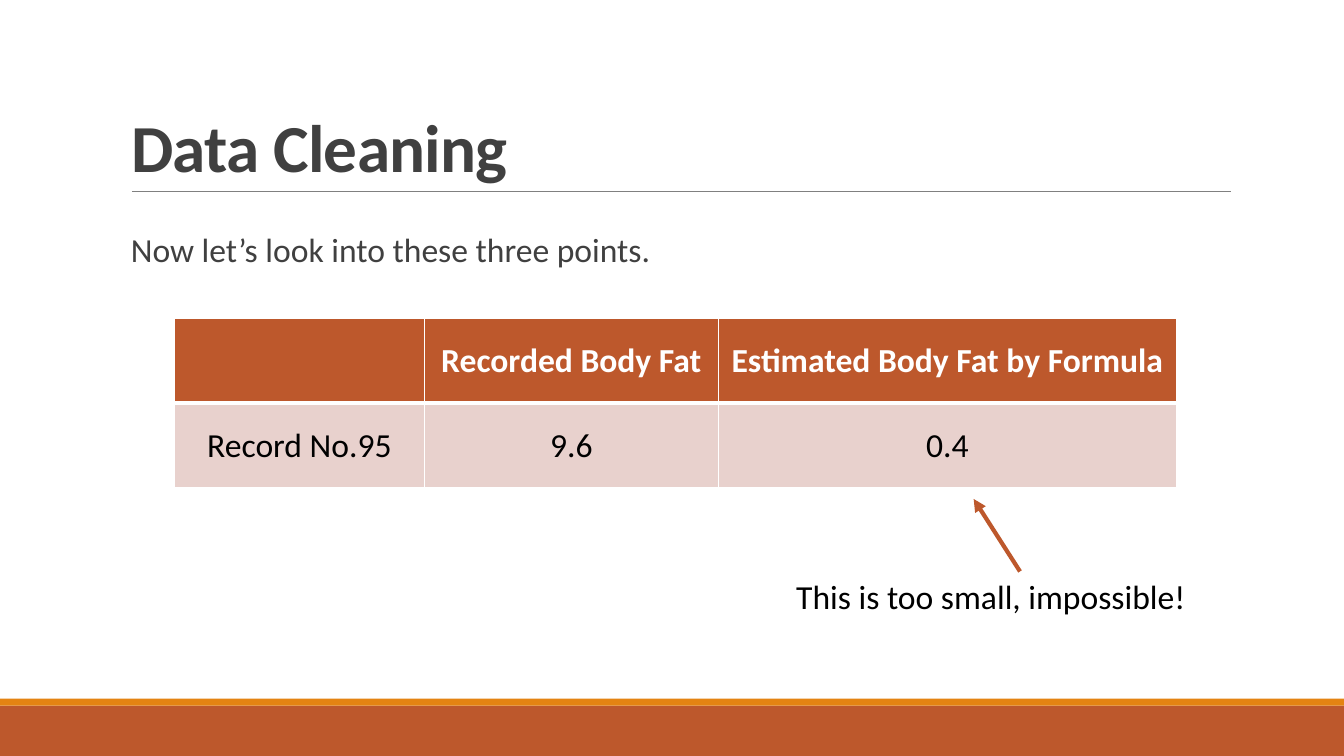
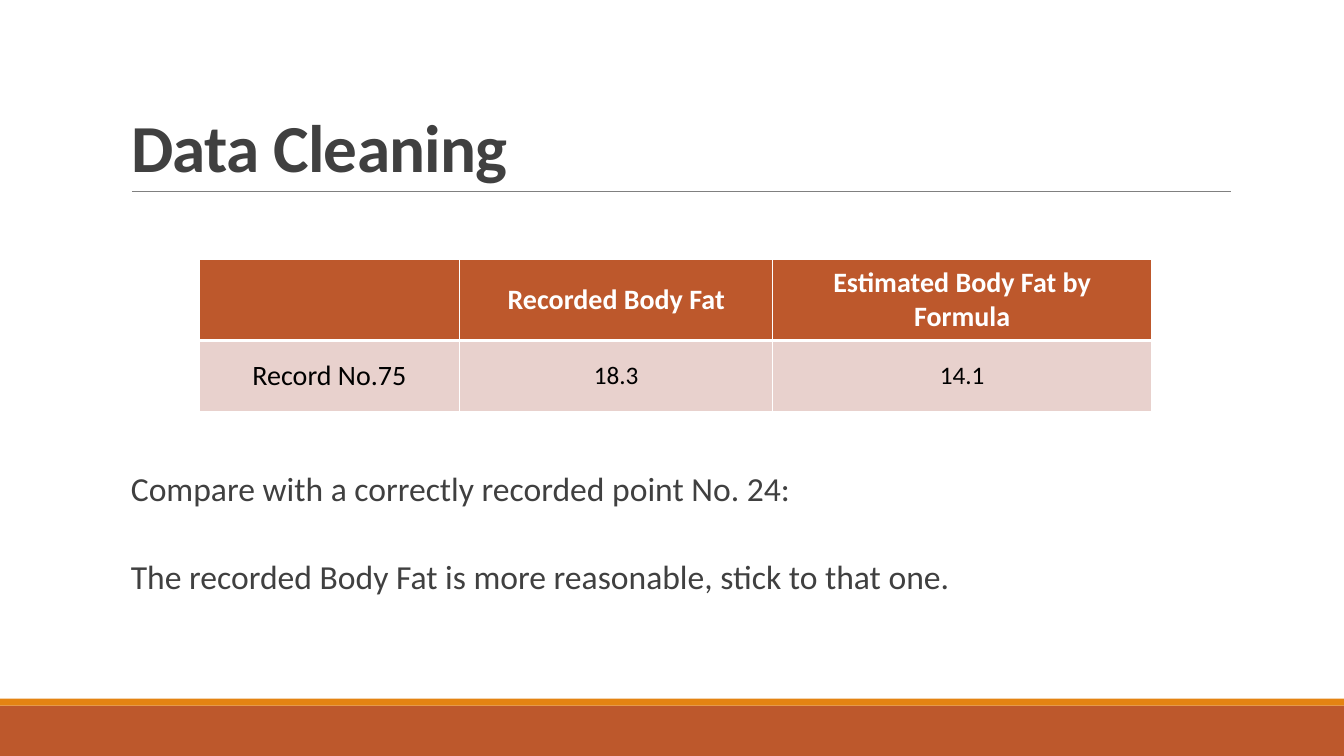
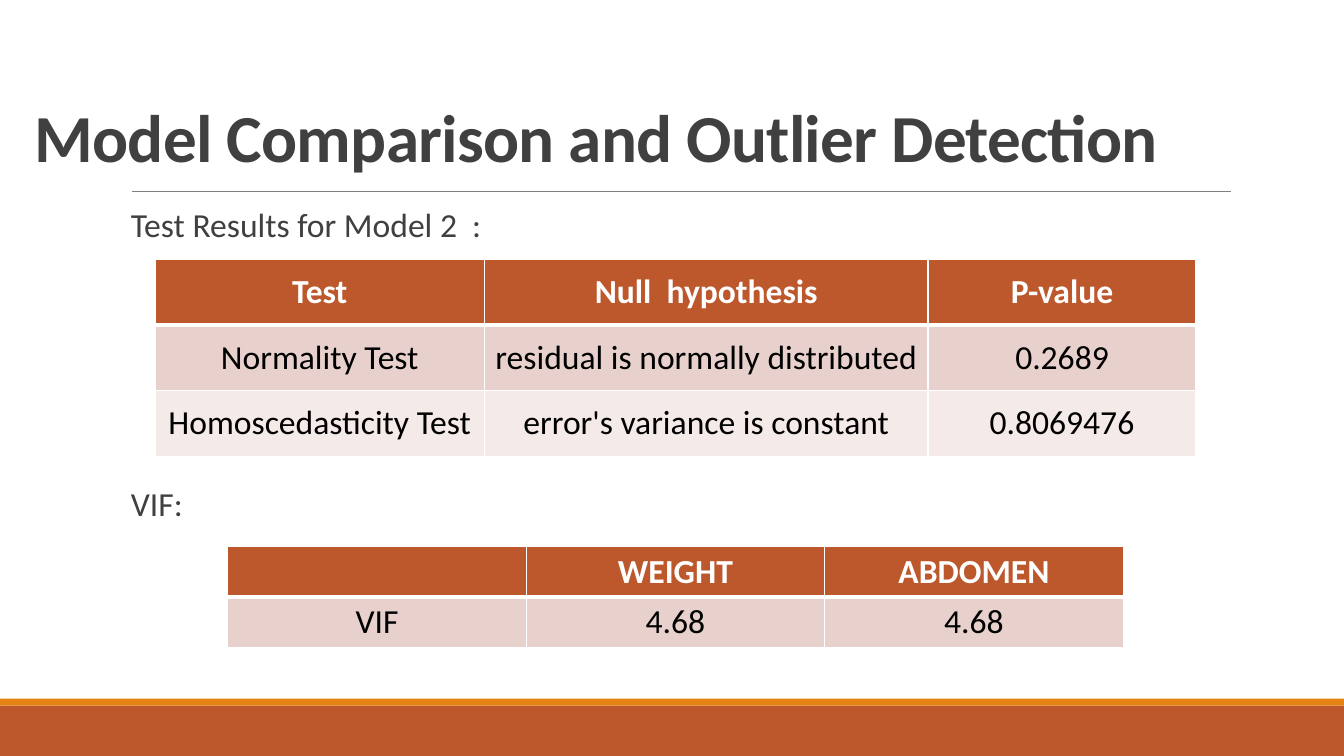
from lxml import etree
from pptx import Presentation
from pptx.dml.color import RGBColor
from pptx.enum.shapes import MSO_CONNECTOR, MSO_SHAPE
from pptx.enum.text import MSO_ANCHOR, MSO_AUTO_SIZE, PP_ALIGN
from pptx.oxml.ns import qn
from pptx.util import Pt

RECTANGLE = MSO_SHAPE.RECTANGLE
STRAIGHT = MSO_CONNECTOR.STRAIGHT
LEFT, CENTER = PP_ALIGN.LEFT, PP_ALIGN.CENTER
MIDDLE, BOTTOM = MSO_ANCHOR.MIDDLE, MSO_ANCHOR.BOTTOM
NO_AUTOFIT, GROW = MSO_AUTO_SIZE.NONE, MSO_AUTO_SIZE.SHAPE_TO_FIT_TEXT

RUST = RGBColor(0xBD, 0x58, 0x2C)
ORANGE = RGBColor(0xE4, 0x83, 0x12)
GRAY = RGBColor(0x80, 0x80, 0x80)
CHARCOAL = RGBColor(0x40, 0x40, 0x40)
BLACK = RGBColor(0, 0, 0)
WHITE = RGBColor(0xFF, 0xFF, 0xFF)
ROW_FILLS = (RGBColor(0xE8, 0xD1, 0xCD), RGBColor(0xF4, 0xEA, 0xE8))

FONT = "Calibri"
SLIDE_WIDTH, SLIDE_HEIGHT = 960, 540
TITLE_BOX = (86.4, 22.3, 792, 114.5)
WIDE_TITLE_BOX = (17.3, 32.4, 929.5, 97.2)
BODY_LEFT, BODY_WIDTH = 86.4, 792
TITLE_ONLY_LAYOUT = 5


def points(*lengths):
    """Convert plain numbers to point lengths."""
    return [Pt(length) for length in lengths]


def style_paragraph(paragraph, size, color, bold=False, alignment=LEFT):
    """Give a paragraph its font, colour and alignment."""
    paragraph.alignment = alignment
    font = paragraph.font
    font.name, font.size, font.bold = FONT, Pt(size), bold
    font.color.rgb = color


def add_band(slide, top, height, color):
    """Add a flat band across the full slide width."""
    band = slide.shapes.add_shape(RECTANGLE, *points(0, top, SLIDE_WIDTH, height))
    band.shadow.inherit = False
    band.fill.solid()
    band.fill.fore_color.rgb = color
    band.line.fill.background()


def add_line(slide, start, end, color, width, arrow=False):
    """Add a straight line, with an arrowhead at its end if asked."""
    connector = slide.shapes.add_connector(STRAIGHT, *points(*start, *end))
    connector.line.color.rgb = color
    connector.line.width = Pt(width)
    if arrow:
        etree.SubElement(connector.line._get_or_add_ln(), qn("a:tailEnd"), type="triangle")
    etree.SubElement(connector._element.spPr, qn("a:effectLst"))


def add_slide(presentation, title, title_box=TITLE_BOX):
    """Add a slide with the shared bands, rule and title style."""
    slide = presentation.slides.add_slide(presentation.slide_layouts[TITLE_ONLY_LAYOUT])
    add_band(slide, 504, 36, RUST)
    add_band(slide, 499, 5, ORANGE)
    add_line(slide, (94.3, 136.8), (879.1, 136.8), GRAY, 0.5)
    placeholder = slide.shapes.title
    placeholder.left, placeholder.top, placeholder.width, placeholder.height = points(*title_box)
    frame = placeholder.text_frame
    frame.text = title
    frame.word_wrap = True
    frame.auto_size = NO_AUTOFIT
    frame.vertical_anchor = BOTTOM
    paragraph = frame.paragraphs[0]
    style_paragraph(paragraph, 48, CHARCOAL, bold=True)
    paragraph.line_spacing = 0.85
    paragraph.runs[0]._r.get_or_add_rPr().set("spc", "-50")
    return slide


def add_body(slide, top, height, lines, gap=0):
    """Add body lines, with a gap in points before each line after the first."""
    box = slide.shapes.add_textbox(*points(BODY_LEFT, top, BODY_WIDTH, height))
    frame = box.text_frame
    frame.word_wrap = True
    for index, line in enumerate(lines):
        paragraph = frame.add_paragraph() if index else frame.paragraphs[0]
        paragraph.text = line
        style_paragraph(paragraph, 24, CHARCOAL)
        paragraph.line_spacing = 0.9
        paragraph.space_before = Pt(gap if index else 0)
        paragraph.space_after = Pt(2)


def add_callout(slide, left, top, width, height, text, target):
    """Add a remark and an arrow from its top centre to the target."""
    box = slide.shapes.add_textbox(*points(left, top, width, height))
    frame = box.text_frame
    frame.word_wrap = True
    frame.auto_size = GROW
    frame.text = text
    style_paragraph(frame.paragraphs[0], 24, BLACK)
    add_line(slide, (left + width / 2, top), target, RUST, 3, arrow=True)


def set_borders(cell, top, bottom):
    """Draw white cell borders, with the given top and bottom widths."""
    properties = cell._tc.get_or_add_tcPr()
    for side, width in (("L", 1), ("R", 1), ("T", top), ("B", bottom)):
        line = etree.SubElement(properties, qn(f"a:ln{side}"), w=str(Pt(width)))
        fill = etree.SubElement(line, qn("a:solidFill"))
        etree.SubElement(fill, qn("a:srgbClr"), val=str(WHITE))


def add_data_table(slide, left, top, widths, heights, rows, size=24, value_size=None):
    """Add a table with a header row, tinted rows and white borders."""
    frame = slide.shapes.add_table(
        len(rows), len(widths), *points(left, top, sum(widths), sum(heights)))
    table = frame.table
    for column, width in zip(table.columns, widths):
        column.width = Pt(width)
    for row_index, (texts, height) in enumerate(zip(rows, heights)):
        table.rows[row_index].height = Pt(height)
        header = row_index == 0
        for column_index, text in enumerate(texts):
            cell = table.cell(row_index, column_index)
            set_borders(cell, 3 if row_index == 1 else 1, 3 if header else 1)
            cell.fill.solid()
            cell.fill.fore_color.rgb = RUST if header else ROW_FILLS[(row_index - 1) % 2]
            cell.vertical_anchor = MIDDLE
            cell.text = text
            is_value = not header and column_index > 0
            style_paragraph(
                cell.text_frame.paragraphs[0],
                value_size if is_value and value_size else size,
                WHITE if header else BLACK, bold=header, alignment=CENTER)


def build_small_record(presentation):
    """Build the slide on record 95."""
    slide = add_slide(presentation, "Data Cleaning")
    add_body(slide, 163.4, 298.8, ["Now let’s look into these three points."])
    add_data_table(slide, 124.8, 227.7, (178.2, 210.2, 327), (60.4, 60.4), [
        ("", "Recorded Body Fat", "Estimated Body Fat by Formula"),
        ("Record No.95", "9.6", "0.4")])
    add_callout(slide, 561.6, 408.2, 334, 36, "This is too small, impossible!", (695.5, 356.4))


def build_kept_record(presentation):
    """Build the slide on record 75."""
    slide = add_slide(presentation, "Data Cleaning")
    add_body(slide, 334, 144, [
        "Compare with a correctly recorded point No. 24:",
        "The recorded Body Fat is more reasonable, stick to that one."], gap=35)
    add_data_table(slide, 142.2, 185.2, (186.2, 223.6, 270.6), (58, 50.5), [
        ("", "Recorded Body Fat", "Estimated Body Fat by Formula"),
        ("Record No.75", "18.3", "14.1")], size=20, value_size=18)


def build_model_tests(presentation):
    """Build the slide with the test results and the VIF table."""
    slide = add_slide(presentation, "Model Comparison and Outlier Detection", WIDE_TITLE_BOX)
    add_body(slide, 145.4, 316.8, ["Test Results for Model 2  :", "VIF:"], gap=171)
    add_data_table(slide, 110.7, 185, (235.4, 316.8, 191.5), (47, 47, 47), [
        ("Test", "Null  hypothesis", "P-value"),
        ("Normality Test", "residual is normally distributed", "0.2689"),
        ("Homoscedasticity Test", "error's variance is constant", "0.8069476")])
    add_data_table(slide, 162.7, 390.3, (213.2, 213.2, 213.2), (36, 36), [
        ("", "WEIGHT", "ABDOMEN"),
        ("VIF", "4.68", "4.68")])


def main():
    """Build the presentation and save it."""
    presentation = Presentation()
    presentation.slide_width, presentation.slide_height = points(SLIDE_WIDTH, SLIDE_HEIGHT)
    build_small_record(presentation)
    build_kept_record(presentation)
    build_model_tests(presentation)
    presentation.save("out.pptx")


main()
